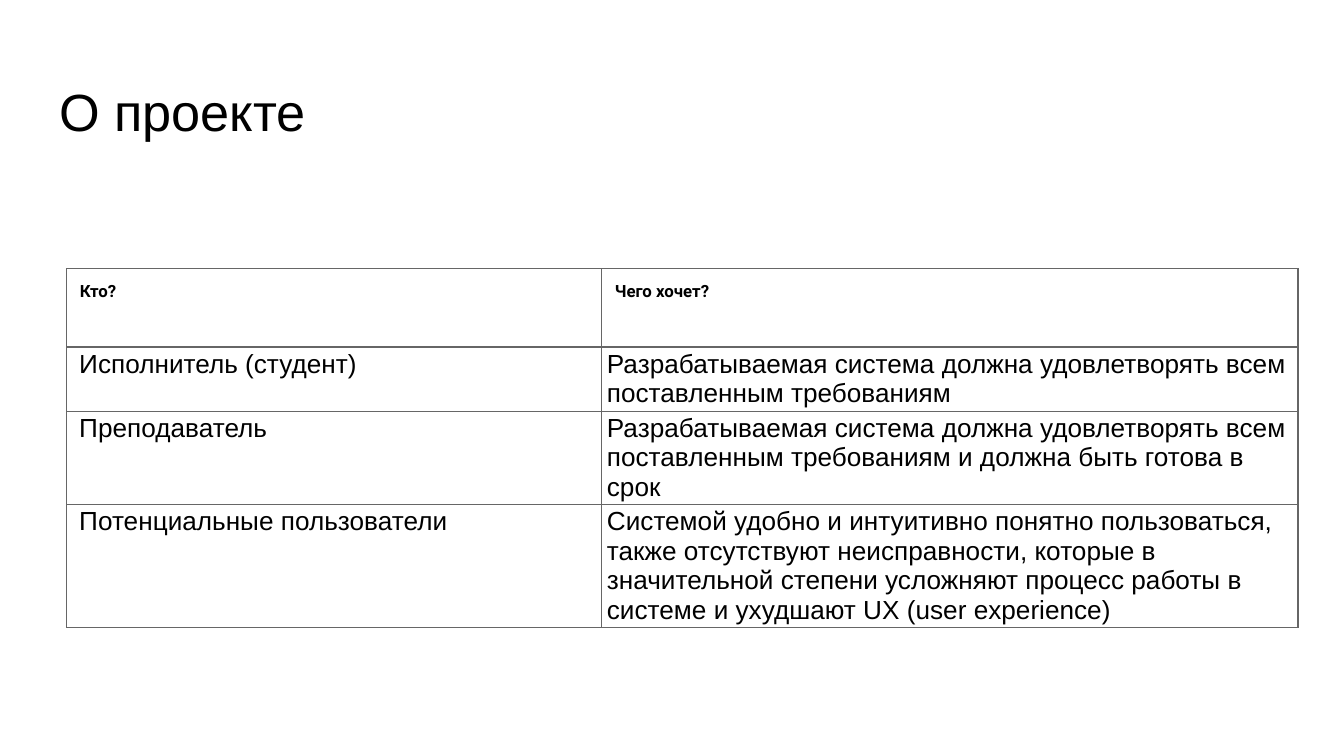
from lxml.etree import SubElement
from pptx import Presentation
from pptx.dml.color import RGBColor
from pptx.enum.text import MSO_ANCHOR, MSO_AUTO_SIZE, PP_ALIGN
from pptx.oxml.ns import qn
from pptx.util import Cm, Pt

BLACK = RGBColor(0x00, 0x00, 0x00)
WHITE = RGBColor(0xFF, 0xFF, 0xFF)
GRAY = RGBColor(0x66, 0x66, 0x66)

COLUMN_WIDTHS = [Cm(10.11), Cm(13.16)]
HEADER_HEIGHT = Cm(1.48)
ROW_HEIGHT = Cm(1.14)
TABLE_HEIGHT = Cm(7.14)
INSET = Cm(0.25)

HEADERS = ["Кто?", "Чего хочет?"]
STAKEHOLDERS = [
    [" Исполнитель (студент)",
     "Разрабатываемая система должна удовлетворять всем поставленным требованиям"],
    [" Преподаватель",
     "Разрабатываемая система должна удовлетворять всем поставленным требованиям "
     "и должна быть готова в срок"],
    [" Потенциальные пользователи",
     "Системой удобно и интуитивно понятно пользоваться, также отсутствуют "
     "неисправности, которые в значительной степени усложняют процесс работы "
     "в системе и ухудшают UX (user experience)"],
]


def set_font(paragraph, name, size, bold=False):
    paragraph.alignment = PP_ALIGN.LEFT
    paragraph.font.name = name
    paragraph.font.size = Pt(size)
    paragraph.font.bold = bold
    paragraph.font.color.rgb = BLACK


def set_margins(target, horizontal, vertical):
    target.margin_left = target.margin_right = horizontal
    target.margin_top = target.margin_bottom = vertical


def set_borders(cell):
    properties = cell._tc.get_or_add_tcPr()
    for side in ("a:lnL", "a:lnR", "a:lnT", "a:lnB"):
        line = SubElement(properties, qn(side), w=str(Pt(0.75)))
        fill = SubElement(line, qn("a:solidFill"))
        SubElement(fill, qn("a:srgbClr"), val=str(GRAY))


def fill_cell(cell, text, is_header):
    cell.text = text
    cell.vertical_anchor = MSO_ANCHOR.TOP
    set_borders(cell)
    cell.fill.background()
    paragraph = cell.text_frame.paragraphs[0]
    if is_header:
        set_margins(cell, INSET, INSET)
        set_font(paragraph, "Roboto", 9, bold=True)
    else:
        set_margins(cell, Cm(0.1), Cm(0.05))
        set_font(paragraph, "Arial", 14)


def add_title(page, text):
    title = page.shapes.title
    title.left, title.top = Cm(0.87), Cm(1.24)
    title.width, title.height = Cm(23.67), Cm(1.6)
    frame = title.text_frame
    frame.text = text
    frame.word_wrap = True
    frame.auto_size = MSO_AUTO_SIZE.NONE
    frame.vertical_anchor = MSO_ANCHOR.TOP
    set_margins(frame, INSET, INSET)
    set_font(frame.paragraphs[0], "Arial", 28)


def add_stakeholder_table(page):
    rows = [HEADERS, *STAKEHOLDERS]
    graphic = page.shapes.add_table(
        len(rows), len(HEADERS), Cm(1.26), Cm(5.08), sum(COLUMN_WIDTHS), TABLE_HEIGHT)
    table = graphic.table
    table.first_row = False
    table.horz_banding = False
    for column, width in zip(table.columns, COLUMN_WIDTHS):
        column.width = width
    for row_index, texts in enumerate(rows):
        is_header = row_index == 0
        table.rows[row_index].height = HEADER_HEIGHT if is_header else ROW_HEIGHT
        for column_index, text in enumerate(texts):
            fill_cell(table.cell(row_index, column_index), text, is_header)
    graphic.height = TABLE_HEIGHT


def main():
    deck = Presentation()
    deck.slide_width, deck.slide_height = Cm(25.4), Cm(14.29)
    page = deck.slides.add_slide(deck.slide_layouts[5])
    page.background.fill.solid()
    page.background.fill.fore_color.rgb = WHITE
    add_title(page, "О проекте")
    add_stakeholder_table(page)
    deck.save("out.pptx")


if __name__ == "__main__":
    main()
